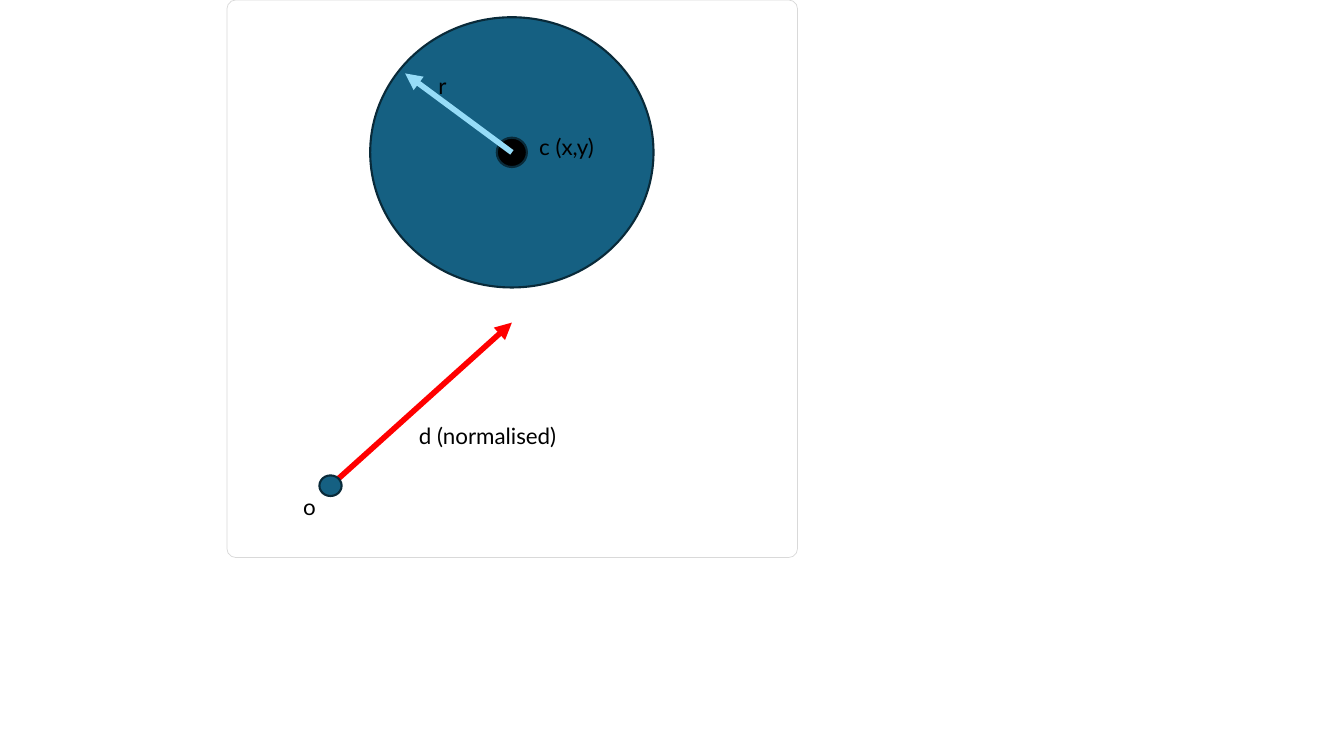
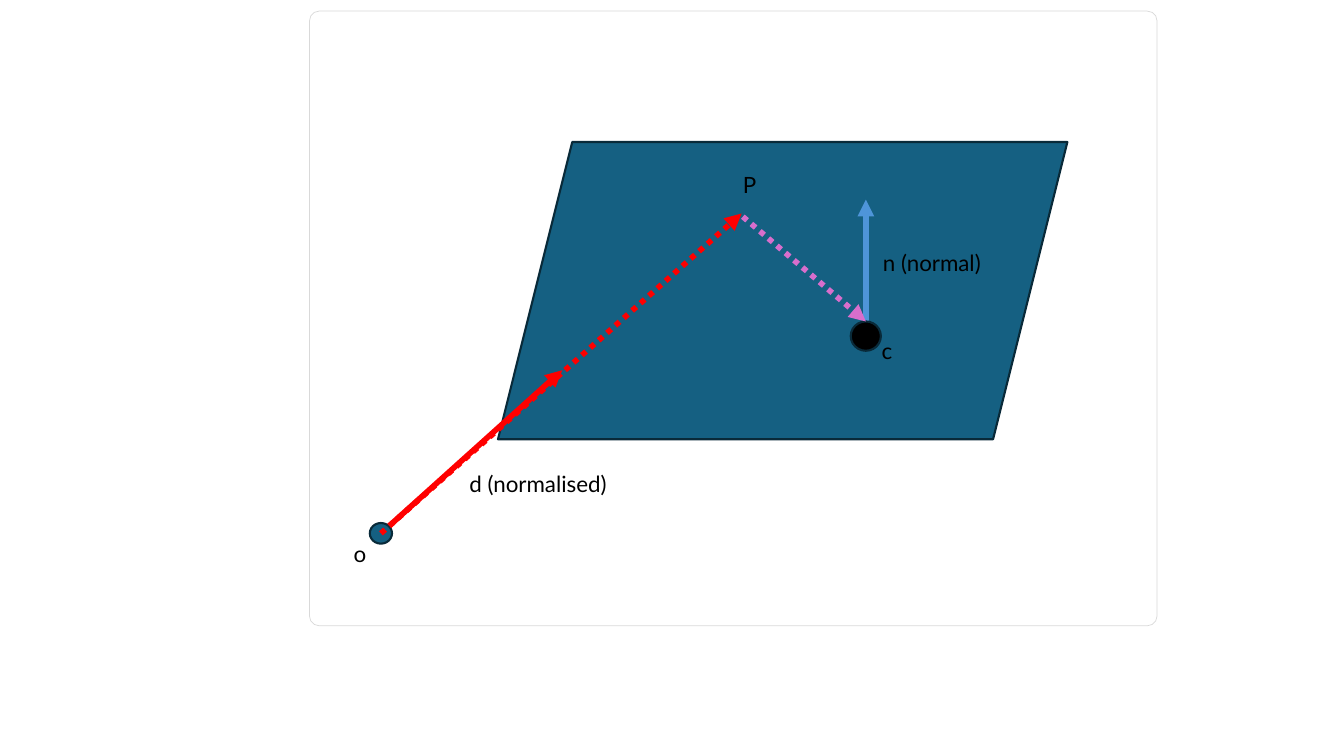
from lxml.etree import SubElement
from pptx import Presentation
from pptx.dml.color import RGBColor
from pptx.enum.dml import MSO_LINE_DASH_STYLE as Dash
from pptx.enum.shapes import MSO_CONNECTOR as Connector, MSO_SHAPE as Shape
from pptx.enum.text import MSO_AUTO_SIZE as AutoSize, PP_ALIGN as Align
from pptx.oxml.ns import qn
from pptx.util import Cm, Pt

COLORS = {
    "card": "FFFFFF",
    "card_edge": "D9D9D9",
    "body": "156082",
    "outline": "092A39",
    "ink": "000000",
    "ray": "FF0000",
    "radius": "96DCF8",
    "normal": "4E95D9",
    "to_centre": "D86ECC",
}


def color(name):
    return RGBColor.from_string(COLORS[name])


class Diagram:
    """Drawing style and the current slide; all lengths are in centimetres."""

    font, text_size, label_height = "Lato", Pt(16), 0.94
    arrow_width, outline_width = Pt(4), Pt(1.5)

    def __init__(self):
        self.deck = Presentation()
        self.deck.slide_width, self.deck.slide_height = Cm(33.87), Cm(19.05)
        self.page = None

    def new_page(self):
        self.page = self.deck.slides.add_slide(self.deck.slide_layouts[6])

    def shape(self, kind, left, top, width, height, fill="body",
              edge="outline", edge_width=outline_width):
        shape = self.page.shapes.add_shape(
            kind, Cm(left), Cm(top), Cm(width), Cm(height))
        shape.shadow.inherit = False
        shape.fill.solid()
        shape.fill.fore_color.rgb = color(fill)
        shape.line.color.rgb = color(edge)
        shape.line.width = edge_width
        return shape

    def card(self, left, top, width, height):
        card = self.shape(Shape.ROUNDED_RECTANGLE, left, top, width, height,
                          "card", "card_edge", Pt(0.5))
        card.adjustments[0] = 0.016

    def ellipse(self, centre, width, height, fill="body"):
        x, y = centre
        self.shape(Shape.OVAL, x - width / 2, y - height / 2,
                   width, height, fill)

    def centre_dot(self, centre):
        self.ellipse(centre, 0.76, 0.74, "ink")

    def arrow(self, start, end, stroke, dotted=False):
        arrow = self.page.shapes.add_connector(
            Connector.STRAIGHT, *(Cm(value) for value in (*start, *end)))
        arrow.line.color.rgb = color(stroke)
        arrow.line.width = self.arrow_width
        if dotted:
            arrow.line.dash_style = Dash.ROUND_DOT
        properties = arrow.element.spPr
        SubElement(properties.find(qn("a:ln")), qn("a:tailEnd"),
                   type="triangle")
        SubElement(properties, qn("a:effectLst"))

    def label(self, text, left, top, width):
        box = self.page.shapes.add_textbox(
            Cm(left), Cm(top), Cm(width), Cm(self.label_height))
        frame = box.text_frame
        frame.text = text
        frame.word_wrap = False
        frame.auto_size = AutoSize.SHAPE_TO_FIT_TEXT
        para = frame.paragraphs[0]
        para.alignment = Align.LEFT
        span = para.runs[0]
        span.font.name = self.font
        span.font.size = self.text_size
        span.font.color.rgb = color("ink")

    def ray(self, origin):
        """Origin dot o with its normalised direction d."""
        x, y = origin
        self.arrow((x + 0.2, y - 0.18), (x + 4.57, y - 4.11), "ray")
        self.ellipse(origin, 0.56, 0.52)
        self.label("o", x - 0.94, y + 0.05, 0.84)
        self.label("d (normalised)", x + 1.98, y - 1.73, 4.09)


def sphere_page(diagram):
    centre = (12.9, 3.84)
    diagram.new_page()
    diagram.card(5.72, 0, 14.38, 14.05)
    diagram.ray((8.33, 12.24))

    # Sphere with centre and radius
    diagram.ellipse(centre, 7.14, 6.81)
    diagram.centre_dot(centre)
    diagram.label("r", 10.8, 1.7, 0.71)
    diagram.arrow(centre, (10.21, 1.85), "radius")
    diagram.label("c (x,y)", 13.34, 3.23, 1.9)


def plane_page(diagram):
    origin, normal_foot = (9.6, 13.44), (21.82, 8.1)
    diagram.new_page()
    diagram.card(7.8, 0.28, 21.36, 15.49)
    diagram.shape(Shape.PARALLELOGRAM, 12.55, 3.58, 14.35, 7.49)

    # Ray extended to the hit point P
    diagram.ray(origin)
    diagram.arrow(origin, (18.69, 5.38), "ray", dotted=True)
    diagram.label("P", 18.47, 4.19, 0.84)

    # Plane centre and normal
    diagram.arrow(normal_foot, (21.82, 5.03), "normal")
    diagram.label("n (normal)", 22, 6.15, 3.05)
    diagram.label("c", 21.97, 8.38, 0.81)
    diagram.centre_dot((21.82, 8.47))
    diagram.arrow((18.72, 5.46), normal_foot, "to_centre", dotted=True)


def main():
    diagram = Diagram()
    sphere_page(diagram)
    plane_page(diagram)
    diagram.deck.save("out.pptx")


if __name__ == "__main__":
    main()
